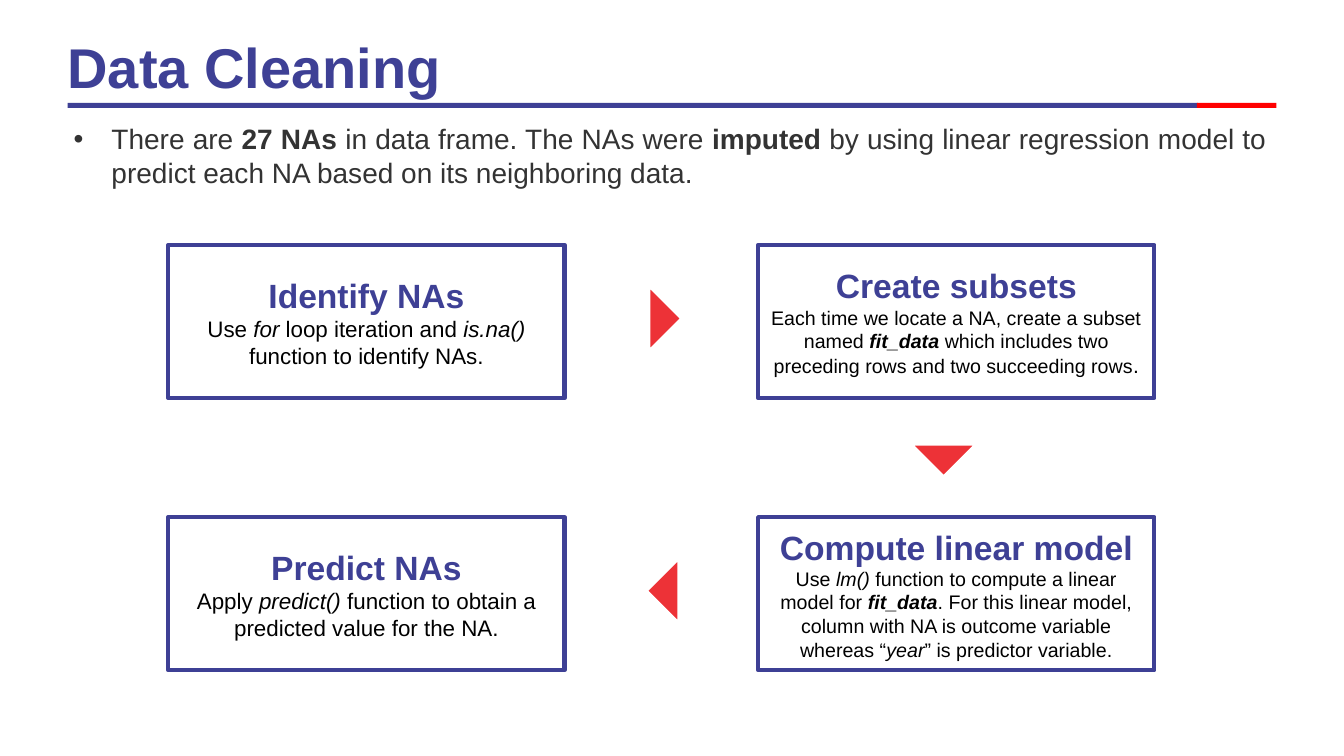
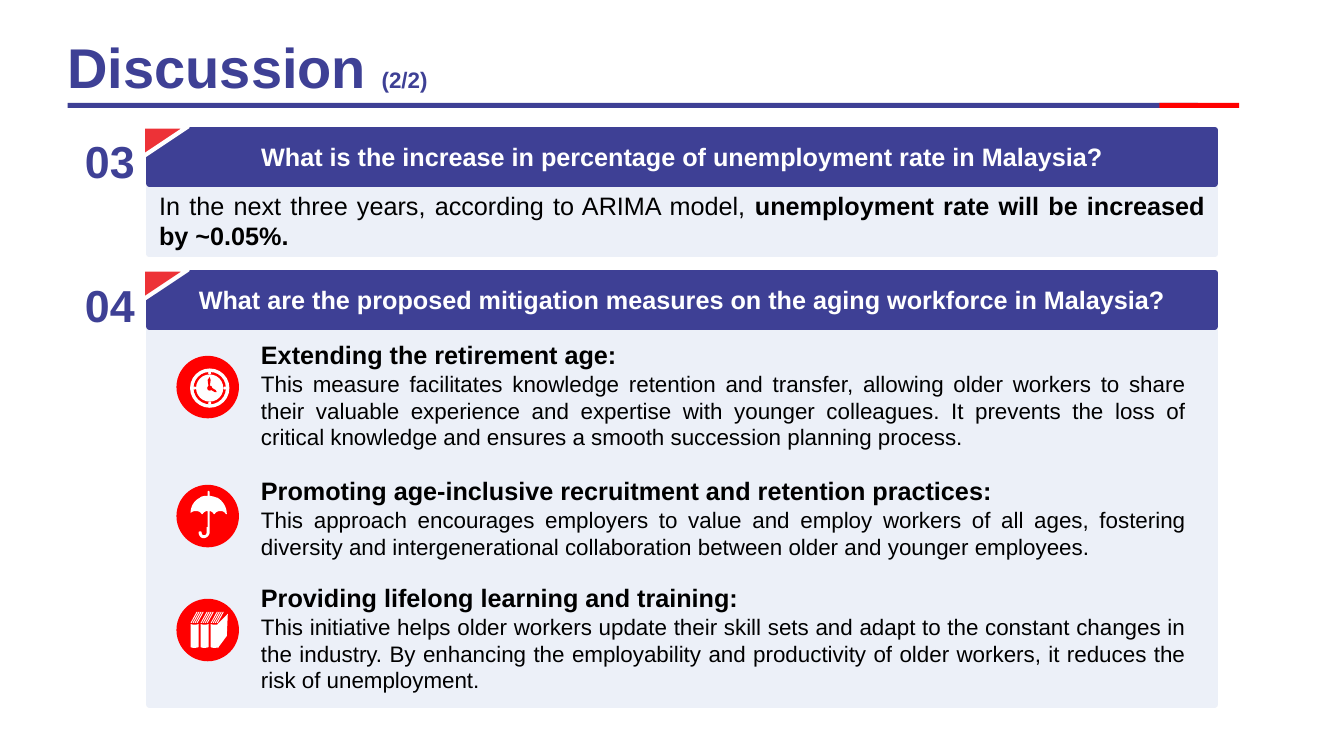
import pptx
import pptx.util
import pptx.dml.color
import pptx.enum.shapes
import pptx.enum.text

Inches = pptx.util.Inches
Pt = pptx.util.Pt
MSO = pptx.enum.shapes.MSO_SHAPE
ALIGN = pptx.enum.text.PP_ALIGN
ANCHOR = pptx.enum.text.MSO_ANCHOR

FONT = "Arial"
COLORS = {"blue": "3E4095", "red": "FF0000", "coral": "ED3237", "pale": "ECF0F8",
          "white": "FFFFFF", "black": "000000", "grey": "333333"}
RGB = {name: pptx.dml.color.RGBColor.from_string(value) for name, value in COLORS.items()}


def add_shape(s, kind, x, y, w, h, fill, line=None, line_pt=3, rot=0):
    sp = s.shapes.add_shape(kind, Inches(x), Inches(y), Inches(w), Inches(h))
    sp.shadow.inherit = False
    sp.rotation = rot
    sp.fill.solid()
    sp.fill.fore_color.rgb = RGB[fill]
    if line:
        sp.line.color.rgb = RGB[line]
        sp.line.width = Pt(line_pt)
    else:
        sp.line.fill.background()
    return sp


def add_runs(p, runs, size, color, align):
    """Each run is (text, marks) with an optional size; marks hold b and i."""
    p.alignment = align
    for text, marks, *own_size in runs:
        r = p.add_run()
        r.text = text
        r.font.name = FONT
        r.font.size = Pt(own_size[0] if own_size else size)
        r.font.bold = "b" in marks
        r.font.italic = "i" in marks
        r.font.color.rgb = RGB[color]


prs = pptx.Presentation()
prs.slide_width, prs.slide_height = Inches(13.33), Inches(7.5)

# Titles and rules: layout index, title runs, left edge of the red rule
headers = [(1, [("Data Cleaning", "b")], 11.87),
           (5, [("Discussion ", "b"), ("(2/2)", "b", 16)], 11.5)]
for layout, title, red_x in headers:
    s = prs.slides.add_slide(prs.slide_layouts[layout])
    sp = s.shapes.title
    sp.left, sp.top, sp.width, sp.height = Inches(0.67), Inches(0.39), Inches(11.8), Inches(0.62)
    tf = sp.text_frame
    tf.auto_size = pptx.enum.text.MSO_AUTO_SIZE.NONE
    tf.vertical_anchor = ANCHOR.MIDDLE
    tf.margin_left = tf.margin_top = tf.margin_right = tf.margin_bottom = 0
    p = tf.paragraphs[0]
    p.line_spacing = 0.9
    add_runs(p, title, 40, "blue", ALIGN.LEFT)
    add_shape(s, MSO.RECTANGLE, 0.67, 1.02, 11.21, 0.05, "blue")
    add_shape(s, MSO.RECTANGLE, red_x, 1.02, 0.79, 0.05, "red")

# Slide 1: introduction
s = prs.slides[0]
sp = s.placeholders[1]
sp.left, sp.top, sp.width, sp.height = Inches(0.63), Inches(1.16), Inches(12.03), Inches(0.89)
tf = sp.text_frame
tf.auto_size = pptx.enum.text.MSO_AUTO_SIZE.NONE
p = tf.paragraphs[0]
p.space_before = Pt(0)
add_runs(p, [("There are ", ""), ("27 NAs ", "b"), ("in data frame. The NAs were ", ""),
             ("imputed", "b"),
             (" by using linear regression model to predict each NA based on its "
              "neighboring data.", "")], 20, "grey", ALIGN.JUSTIFY)

# Slide 1: four steps, as column, row, heading, text size, text
steps = [
    (0, 0, "Identify NAs", 16,
     [("Use ", ""), ("for", "i"), (" loop iteration and ", ""), ("is.na() ", "i"),
      ("function to identify NAs.", "")]),
    (1, 0, "Create subsets", 14,
     [("Each time we locate a NA, create a subset named ", ""), ("fit_data ", "bi"),
      ("which includes two preceding rows and two succeeding rows", ""), (".", "", 15)]),
    (1, 1, "Compute linear model", 14,
     [("Use ", ""), ("lm() ", "i"), ("function to compute a linear model for ", ""),
      ("fit_data", "bi"),
      (". For this linear model, column with NA is outcome variable whereas “", ""),
      ("year", "i"), ("” is predictor variable.", "")]),
    (0, 1, "Predict NAs", 16,
     [("Apply ", ""), ("predict()", "i"),
      (" function to obtain a predicted value for the NA.", "")]),
]
for col, row, heading, size, runs in steps:
    sp = add_shape(s, MSO.RECTANGLE, 1.67 + 5.85 * col, 2.43 + 2.7 * row, 3.93, 1.52,
                   "white", "blue")
    tf = sp.text_frame
    tf.word_wrap = True
    tf.vertical_anchor = ANCHOR.MIDDLE
    add_runs(tf.paragraphs[0], [(heading, "b")], 24, "blue", ALIGN.CENTER)
    add_runs(tf.add_paragraph(), runs, size, "black", ALIGN.CENTER)

# Slide 1: pointers right, down and left between the steps
for x, y, rot in [(6.19, 2.92, 225), (9.12, 4.16, 315), (6.5, 5.62, 45)]:
    add_shape(s, MSO.RIGHT_TRIANGLE, x, y, 0.48, 0.48, "coral", "white", rot=rot)

# Slide 2: numbered questions with answer panels
s = prs.slides[1]
questions = [
    ("03", 1.29, "What is the increase in percentage of unemployment rate in Malaysia?", 0.66,
     [("In the next three years, according to ARIMA model, ", ""),
      ("unemployment rate will be increased by ~0.05%.", "b")]),
    ("04", 2.71, "What are the proposed mitigation measures on the aging workforce in Malaysia?",
     3.71, []),
]
for number, y, question, panel_h, answer in questions:
    panel = add_shape(s, MSO.RECTANGLE, 1.48, y + 0.57, 10.57, panel_h, "pale", "pale", 4.5)
    band = add_shape(s, MSO.RECTANGLE, 1.48, y, 10.57, 0.53, "blue", "blue", 4.5)
    add_shape(s, MSO.RIGHT_TRIANGLE, 1.49, y - 0.11, 0.3, 0.45, "coral", "white", rot=90)
    label = s.shapes.add_textbox(Inches(0.71), Inches(y + 0.03), Inches(0.76), Inches(0.62))
    for sp in (panel, band, label):
        sp.text_frame.word_wrap = True
        sp.text_frame.vertical_anchor = ANCHOR.MIDDLE
    add_runs(panel.text_frame.paragraphs[0], answer, 18, "black", ALIGN.JUSTIFY)
    add_runs(band.text_frame.paragraphs[0], [(question, "b")], 18, "white", ALIGN.CENTER)
    tf = label.text_frame
    tf.margin_left = tf.margin_top = tf.margin_right = tf.margin_bottom = 0
    tf.paragraphs[0].line_spacing = 0.9
    add_runs(tf.paragraphs[0], [(number, "b")], 32, "blue", ALIGN.CENTER)

# Slide 2: measures, as text top, text height, disc top, heading, text
measures = [
    (3.32, 1.21, 3.53, "Extending the retirement age:",
     "This measure facilitates knowledge retention and transfer, allowing older workers to "
     "share their valuable experience and expertise with younger colleagues. It prevents the "
     "loss of critical knowledge and ensures a smooth succession planning process."),
    (4.67, 0.94, 4.81, "Promoting age-inclusive recruitment and retention practices:",
     "This approach encourages employers to value and employ workers of all ages, fostering "
     "diversity and intergenerational collaboration between older and younger employees."),
    (5.73, 1.21, 5.94, "Providing lifelong learning and training:",
     "This initiative helps older workers update their skill sets and adapt to the constant "
     "changes in the industry. By enhancing the employability and productivity of older "
     "workers, it reduces the risk of unemployment."),
]
for y, h, disc_y, heading, text in measures:
    add_shape(s, MSO.OVAL, 1.75, disc_y, 0.62, 0.62, "red")
    tf = s.shapes.add_textbox(Inches(2.49), Inches(y), Inches(9.37), Inches(h)).text_frame
    tf.word_wrap = True
    add_runs(tf.paragraphs[0], [(heading, "b")], 18, "black", ALIGN.JUSTIFY)
    add_runs(tf.add_paragraph(), [(text, "")], 16, "black", ALIGN.JUSTIFY)

# Clock face: rings, gaps in the ring, hub
clock_x, clock_y = 2.08, 3.85
clock_discs = [(0, 0, 0.39, "white"), (0, 0, 0.32, "red"), (0, 0, 0.27, "white"),
               (0, -0.15, 0.03, "white"), (0.15, 0, 0.03, "white"),
               (0, 0.15, 0.03, "white"), (-0.15, 0, 0.03, "white"), (0, 0, 0.05, "red")]
for dx, dy, d, fill in clock_discs:
    add_shape(s, MSO.OVAL, clock_x + dx - d / 2, clock_y + dy - d / 2, d, d, fill)

# Icon outlines: a pair is a line end, six numbers are a cubic curve
outlines = [
    # Clock hands
    ("red", [(2.06, 3.77), (2.08, 3.74), (2.09, 3.77), (2.08, 3.84), (2.07, 3.84)]),
    ("red", [(2.09, 3.84), (2.14, 3.87), (2.15, 3.89), (2.13, 3.89), (2.08, 3.86)]),
    # Umbrella
    ("white", [
        (2.07, 4.87), (2.07, 4.87, 2.08, 4.88, 2.08, 4.88), (2.08, 4.92),
        (2.1, 4.92, 2.13, 4.93, 2.16, 4.94), (2.21, 4.97, 2.25, 5.03, 2.25, 5.1),
        (2.24, 5.1), (2.23, 5.08, 2.21, 5.07, 2.19, 5.07),
        (2.16, 5.07, 2.14, 5.08, 2.13, 5.1), (2.12, 5.1),
        (2.11, 5.08, 2.09, 5.07, 2.08, 5.07), (2.08, 5.28),
        (2.08, 5.31, 2.05, 5.34, 2.02, 5.34), (1.99, 5.34, 1.97, 5.31, 1.97, 5.28),
        (1.97, 5.27, 2, 5.27, 2, 5.28), (2, 5.3, 2.01, 5.31, 2.02, 5.31),
        (2.04, 5.31, 2.05, 5.3, 2.05, 5.28), (2.05, 5.23), (2.06, 5.23), (2.06, 5.07),
        (2.04, 5.07, 2.02, 5.08, 2.01, 5.1), (2, 5.1),
        (1.99, 5.08, 1.97, 5.07, 1.94, 5.07), (1.92, 5.07, 1.9, 5.08, 1.89, 5.09),
        (1.89, 5.03, 1.92, 4.97, 1.98, 4.94), (2, 4.92, 2.03, 4.92, 2.06, 4.92),
        (2.06, 4.88), (2.06, 4.88, 2.06, 4.87, 2.07, 4.87)]),
    # Side of the last book
    ("white", [(2.16, 6.19), (2.26, 6.09), (2.25, 6.31), (2.16, 6.43)]),
]
# Three book spines, each under four page edges
for book in range(3):
    x = 1.89 + 0.1 * book
    outlines.append(("white", [(x, 6.19), (x + 0.02, 6.2, x + 0.06, 6.2, x + 0.08, 6.19),
                               (x + 0.08, 6.42),
                               (x + 0.05, 6.43, x + 0.02, 6.43, x, 6.42)]))
    for page in range(4):
        px = x + 0.02 * page
        outlines.append(("white", [(px, 6.18), (px + 0.06, 6.07), (px + 0.07, 6.07),
                                   (px + 0.01, 6.18)]))

CURVE_STEPS = 8
for fill, segments in outlines:
    points = [segments[0]]
    for segment in segments[1:]:
        if len(segment) == 2:
            points.append(segment)
            continue
        x0, y0 = points[-1]
        x1, y1, x2, y2, x3, y3 = segment
        for step in range(1, CURVE_STEPS + 1):
            t = step / CURVE_STEPS
            a, b, c, d = (1 - t) ** 3, 3 * t * (1 - t) ** 2, 3 * t * t * (1 - t), t ** 3
            points.append((a * x0 + b * x1 + c * x2 + d * x3,
                           a * y0 + b * y1 + c * y2 + d * y3))
    points = [(Inches(x), Inches(y)) for x, y in points]
    builder = s.shapes.build_freeform(*points[0])
    builder.add_line_segments(points[1:], close=True)
    sp = builder.convert_to_shape()
    sp.shadow.inherit = False
    sp.fill.solid()
    sp.fill.fore_color.rgb = RGB[fill]
    sp.line.fill.background()

prs.save("out.pptx")
